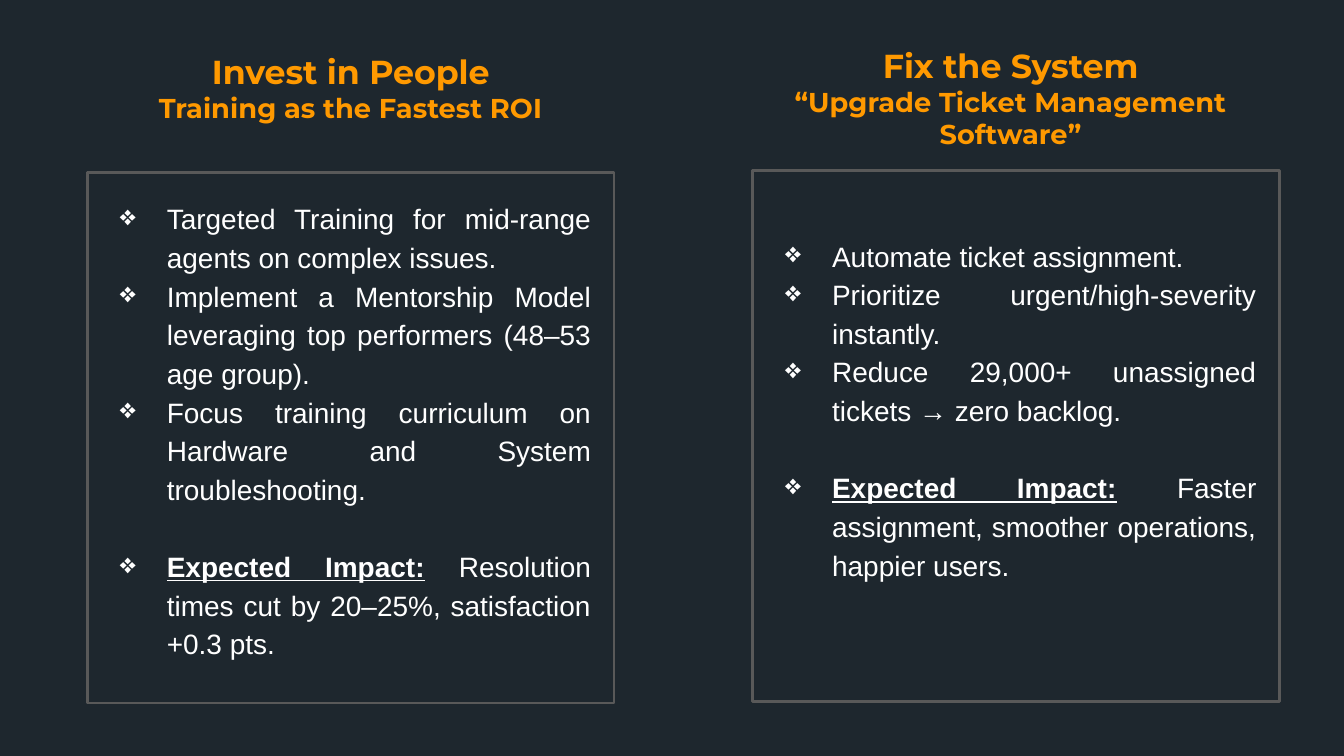
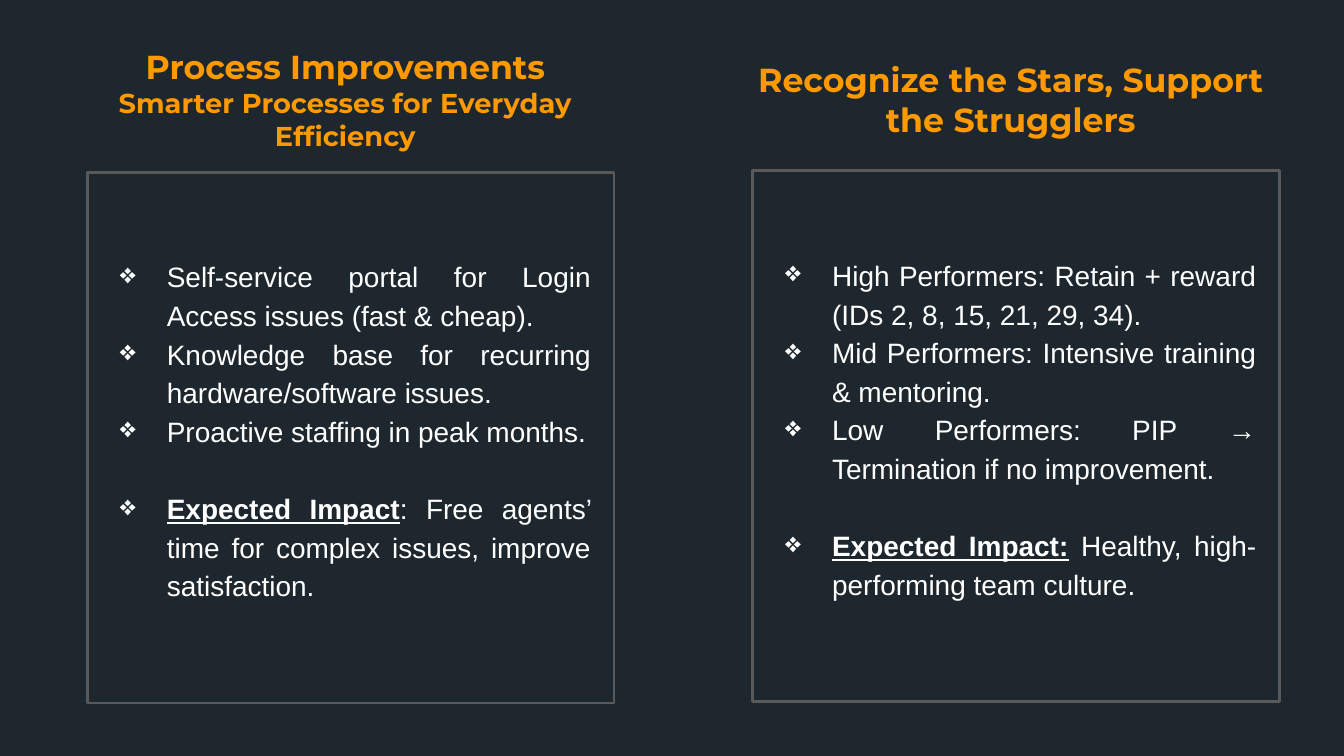
from dataclasses import dataclass

from lxml import etree
from pptx import Presentation
from pptx.dml.color import RGBColor
from pptx.enum import shapes, text
from pptx.oxml import ns
from pptx.util import Pt


@dataclass(frozen=True)
class Theme:
    background: str = "1E272E"
    accent: str = "FF9900"
    body: str = "FFFFFF"
    border: str = "595959"
    title_font: str = "Montserrat"
    body_font: str = "Arial"
    title_size: float = 17.8
    subtitle_size: float = 14.6
    body_size: float = 15
    line_spacing: float = 1.15
    impact_gap: float = 20.7  # one body line
    inset: float = 3


THEME = Theme()

# Left and top of the two cards, and the shared sizes
CARD_ORIGINS = ((46.8, 92.2), (403.2, 91.4))
CARD_SIZE = (282.2, 284.4)
BULLETS_OFFSET = (3.6, 7.9)
BULLETS_SIZE = (269.3, 259.2)

# Each panel: heading, heading box, bullets, impact label and impact text
SLIDES = [
    [
        dict(
            title="Invest in People",
            subtitle="Training as the Fastest ROI",
            title_box=(46.8, 23.8, 282.2, 45.4),
            bullets=[
                "Targeted Training for mid-range agents on complex issues.",
                "Implement a Mentorship Model leveraging top performers (48–53 age group).",
                "Focus training curriculum on Hardware and System troubleshooting.",
            ],
            label="Expected Impact:",
            impact=" Resolution times cut by 20–25%, satisfaction +0.3 pts.",
        ),
        dict(
            title="Fix the System",
            subtitle="“Upgrade Ticket Management Software”",
            title_box=(396.7, 38.2, 289.4, 45.4),
            bullets=[
                "Automate ticket assignment.",
                "Prioritize urgent/high-severity instantly.",
                "Reduce 29,000+ unassigned tickets → zero backlog.",
            ],
            label="Expected Impact:",
            impact=" Faster assignment, smoother operations, happier users.",
            lift=THEME.impact_gap,
        ),
    ],
    [
        dict(
            title="Process Improvements",
            subtitle="Smarter Processes for Everyday Efficiency",
            title_box=(43.9, 34.6, 282.2, 49.7),
            bullets=[
                "Self-service portal for Login Access issues (fast & cheap).",
                "Knowledge base for recurring hardware/software issues.",
                "Proactive staffing in peak months.",
            ],
            label="Expected Impact",
            impact=": Free agents’ time for complex issues, improve satisfaction.",
        ),
        dict(
            title="Recognize the Stars, Support the Strugglers",
            title_box=(396.7, 22.3, 289.4, 61.2),
            title_anchor=text.MSO_ANCHOR.MIDDLE,
            bullets=[
                "High Performers: Retain + reward (IDs 2, 8, 15, 21, 29, 34).",
                "Mid Performers: Intensive training & mentoring.",
                "Low Performers: PIP → Termination if no improvement.",
            ],
            label="Expected Impact:",
            impact=" Healthy, high-performing team culture.",
        ),
    ],
]


def color(value):
    return RGBColor.from_string(value)


def add_text(paragraph, content, *, size, font, fill, bold=False, underline=False):
    run = paragraph.add_run()
    run.text = content
    run.font.size = Pt(size)
    run.font.name = font
    run.font.color.rgb = color(fill)
    run.font.bold = bold
    run.font.underline = underline


def add_text_frame(slide, box, anchor, lift=0):
    """Text box; lift raises the centred text by widening the bottom inset."""
    frame = slide.shapes.add_textbox(*map(Pt, box)).text_frame
    frame.word_wrap = True
    frame.vertical_anchor = anchor
    frame.margin_left = frame.margin_right = frame.margin_top = Pt(THEME.inset)
    frame.margin_bottom = Pt(THEME.inset + lift)
    return frame


def next_paragraph(frame):
    first = frame.paragraphs[0]
    return frame.add_paragraph() if first.runs else first


def add_bullet_paragraph(frame):
    paragraph = next_paragraph(frame)
    paragraph.alignment = text.PP_ALIGN.JUSTIFY
    paragraph.line_spacing = THEME.line_spacing
    properties = paragraph._p.get_or_add_pPr()
    properties.set("marL", str(Pt(36)))
    properties.set("indent", str(-Pt(25.2)))
    bullet_color = etree.SubElement(properties, ns.qn("a:buClr"))
    etree.SubElement(bullet_color, ns.qn("a:srgbClr"), val=THEME.body)
    etree.SubElement(properties, ns.qn("a:buChar"), char="❖")
    return paragraph


def add_card(slide, origin):
    card = slide.shapes.add_shape(
        shapes.MSO_SHAPE.RECTANGLE, *map(Pt, origin + CARD_SIZE))
    card.shadow.inherit = False
    card.fill.solid()
    card.fill.fore_color.rgb = color(THEME.background)
    card.line.color.rgb = color(THEME.border)
    card.line.width = Pt(1.5)


def add_heading(slide, box, title, subtitle, anchor):
    frame = add_text_frame(slide, box, anchor)
    lines = ((title, THEME.title_size), (subtitle, THEME.subtitle_size))
    for content, size in lines:
        if content:
            paragraph = next_paragraph(frame)
            paragraph.alignment = text.PP_ALIGN.CENTER
            add_text(paragraph, content, size=size, font=THEME.title_font,
                     fill=THEME.accent, bold=True)


def add_bullets(slide, origin, bullets, label, impact, lift):
    position = tuple(a + b for a, b in zip(origin, BULLETS_OFFSET))
    frame = add_text_frame(
        slide, position + BULLETS_SIZE, text.MSO_ANCHOR.MIDDLE, lift)
    style = dict(size=THEME.body_size, font=THEME.body_font, fill=THEME.body)
    for bullet in bullets:
        add_text(add_bullet_paragraph(frame), bullet, **style)

    # Expected impact, set apart by one line
    paragraph = add_bullet_paragraph(frame)
    paragraph.space_before = Pt(THEME.impact_gap)
    add_text(paragraph, label, bold=True, underline=True, **style)
    add_text(paragraph, impact, **style)


def add_panel(slide, origin, title, title_box, bullets, label, impact,
              subtitle=None, title_anchor=text.MSO_ANCHOR.BOTTOM, lift=0):
    add_card(slide, origin)
    add_heading(slide, title_box, title, subtitle, title_anchor)
    add_bullets(slide, origin, bullets, label, impact, lift)


def main():
    presentation = Presentation()
    presentation.slide_width = Pt(720)
    presentation.slide_height = Pt(405)

    # Shared dark background
    background = presentation.slide_master.background.fill
    background.solid()
    background.fore_color.rgb = color(THEME.background)

    for panels in SLIDES:
        slide = presentation.slides.add_slide(presentation.slide_layouts[6])
        for origin, panel in zip(CARD_ORIGINS, panels):
            add_panel(slide, origin, **panel)

    presentation.save("out.pptx")


if __name__ == "__main__":
    main()
